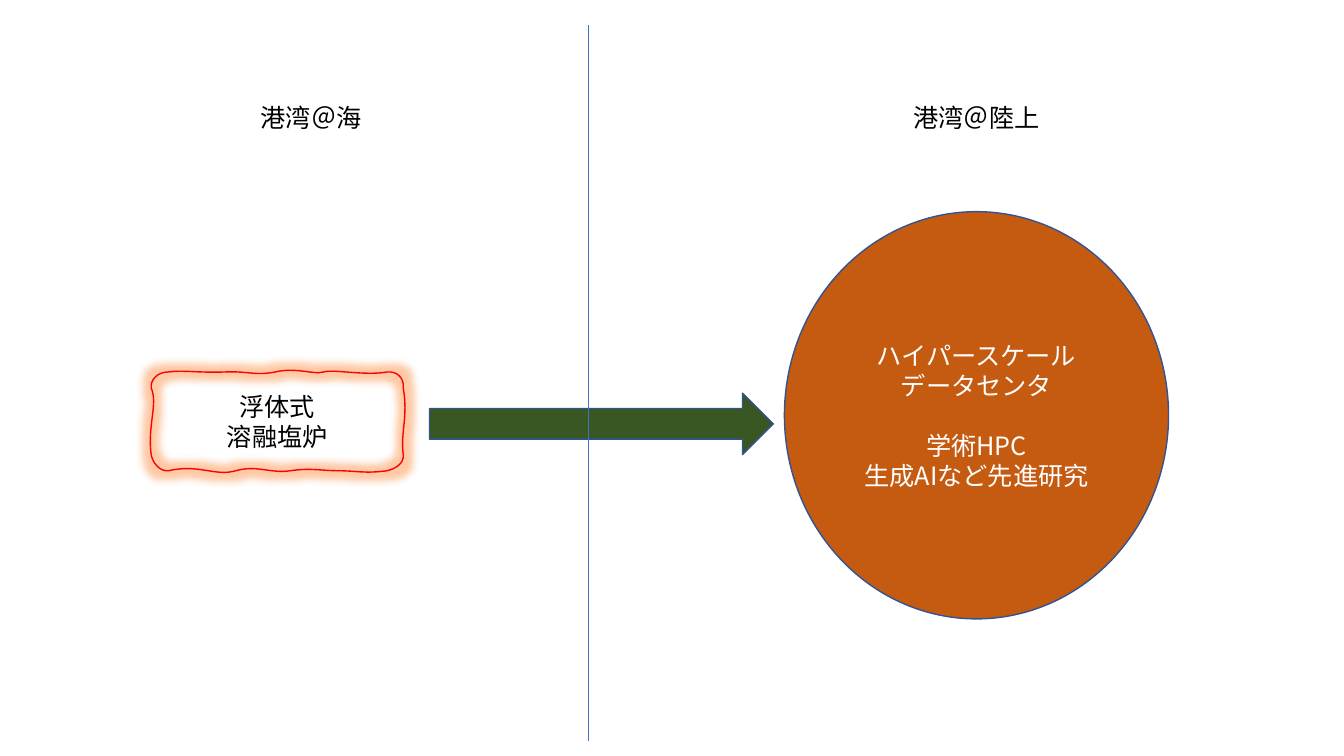
import pptx
import pptx.dml.color
import pptx.enum.shapes
import pptx.enum.text
import pptx.oxml.ns
import pptx.util
import lxml.etree
from pptx.dml.color import RGBColor
from pptx.enum.shapes import MSO_CONNECTOR, MSO_SHAPE
from pptx.util import Inches

BLACK = RGBColor(0x00, 0x00, 0x00)
WHITE = RGBColor(0xFF, 0xFF, 0xFF)
ORANGE = RGBColor(0xC5, 0x5A, 0x11)
GREEN = RGBColor(0x38, 0x57, 0x23)
RED = RGBColor(0xFF, 0x00, 0x00)
OUTLINE = RGBColor(0x32, 0x54, 0x91)
DIVIDER = RGBColor(0x44, 0x72, 0xC4)
GLOW = RGBColor(0xFF, 0x79, 0x1F)

JAPANESE_FONT = "Noto Sans CJK JP"
REACTOR_START = (1.5, 3.85)
REACTOR_CURVES = [
    (1.49, 3.77, 1.56, 3.69, 1.67, 3.69),
    (1.82, 3.67, 1.98, 3.7, 2.23, 3.69),
    (2.48, 3.68, 2.52, 3.73, 2.73, 3.69),
    (2.94, 3.64, 3.11, 3.72, 3.21, 3.69),
    (3.31, 3.66, 3.62, 3.73, 3.84, 3.69),
    (3.94, 3.68, 4.01, 3.75, 4, 3.85),
    (4.05, 4.14, 3.97, 4.3, 4, 4.51),
    (4.01, 4.6, 3.92, 4.65, 3.84, 4.67),
    (3.62, 4.7, 3.53, 4.67, 3.36, 4.67),
    (3.19, 4.67, 3.08, 4.64, 2.88, 4.67),
    (2.68, 4.7, 2.55, 4.61, 2.34, 4.67),
    (2.13, 4.73, 1.98, 4.6, 1.67, 4.67),
    (1.58, 4.68, 1.51, 4.58, 1.5, 4.51),
    (1.46, 4.23, 1.57, 4, 1.5, 3.85),
]


def add_xml(parent, tag, **attributes):
    return lxml.etree.SubElement(
        parent, pptx.oxml.ns.qn(tag),
        {name: str(value) for name, value in attributes.items()})


def write_text(frame, lines, color=BLACK, font=JAPANESE_FONT, size=18,
               anchor=pptx.enum.text.MSO_ANCHOR.MIDDLE, gap_before=None):
    frame.word_wrap = True
    frame.vertical_anchor = anchor
    for index, line in enumerate(lines):
        paragraph = frame.add_paragraph() if index else frame.paragraphs[0]
        paragraph.alignment = pptx.enum.text.PP_ALIGN.CENTER
        if index == gap_before:
            paragraph.space_before = pptx.util.Pt(21)
        run = paragraph.add_run()
        run.text = line
        run.font.size = pptx.util.Pt(size)
        run.font.color.rgb = color
        run.font.name = font
        add_xml(run._r.get_or_add_rPr(), "a:ea", typeface=JAPANESE_FONT)


def add_heading(slide, text, left):
    heading = slide.shapes.add_textbox(
        Inches(left), Inches(0.97), Inches(3.33), Inches(0.4))
    write_text(heading.text_frame, [text], font="Calibri",
               anchor=pptx.enum.text.MSO_ANCHOR.TOP)
    heading.text_frame.auto_size = (
        pptx.enum.text.MSO_AUTO_SIZE.SHAPE_TO_FIT_TEXT)


def add_filled_shape(slide, kind, left, top, width, height, fill):
    shape = slide.shapes.add_shape(
        kind, Inches(left), Inches(top), Inches(width), Inches(height))
    shape.shadow.inherit = False
    shape.fill.solid()
    shape.fill.fore_color.rgb = fill
    shape.line.color.rgb = OUTLINE
    shape.line.width = pptx.util.Pt(1)
    return shape


def bend_segments(shape, curves):
    segments = list(shape._element.iter(pptx.oxml.ns.qn("a:lnTo")))
    for segment, curve in zip(segments, curves):
        bend = lxml.etree.Element(pptx.oxml.ns.qn("a:cubicBezTo"))
        for x, y in zip(curve[::2], curve[1::2]):
            add_xml(bend, "a:pt", x=Inches(x) - shape.left,
                    y=Inches(y) - shape.top)
        segment.getparent().replace(segment, bend)


def add_glow(shape, color, radius):
    effects = shape._element.spPr.find(pptx.oxml.ns.qn("a:effectLst"))
    glow = add_xml(effects, "a:glow", rad=pptx.util.Pt(radius))
    glow_color = add_xml(glow, "a:srgbClr", val=color)
    add_xml(glow_color, "a:alpha", val=40000)


def add_reactor(slide):
    outline = slide.shapes.build_freeform(*map(Inches, REACTOR_START))
    outline.add_line_segments(
        [(Inches(curve[4]), Inches(curve[5])) for curve in REACTOR_CURVES],
        close=True)
    reactor = outline.convert_to_shape()
    bend_segments(reactor, REACTOR_CURVES)
    reactor.fill.background()
    reactor.line.color.rgb = RED
    reactor.line.width = pptx.util.Pt(1)
    reactor.shadow.inherit = False
    add_glow(reactor, GLOW, 11)
    write_text(reactor.text_frame, ["浮体式", "溶融塩炉"])


def add_divider(slide):
    divider = slide.shapes.add_connector(
        MSO_CONNECTOR.STRAIGHT,
        Inches(5.84), Inches(0.25), Inches(5.84), Inches(7.35))
    divider.line.color.rgb = DIVIDER
    divider.line.width = pptx.util.Pt(0.5)
    add_xml(divider._element.spPr, "a:effectLst")


def main():
    presentation = pptx.Presentation()
    presentation.slide_width = Inches(13.33)
    presentation.slide_height = Inches(7.5)
    slide = presentation.slides.add_slide(presentation.slide_layouts[6])

    data_center = add_filled_shape(
        slide, MSO_SHAPE.OVAL, 7.78, 2.1, 3.81, 4.04, ORANGE)
    write_text(data_center.text_frame,
               ["ハイパースケール", "データセンタ", "学術HPC", "生成AIなど先進研究"],
               color=WHITE, gap_before=2)
    add_reactor(slide)
    add_filled_shape(
        slide, MSO_SHAPE.RIGHT_ARROW, 4.26, 3.9, 3.41, 0.61, GREEN)
    add_divider(slide)
    add_heading(slide, "港湾＠海", 1.42)
    add_heading(slide, "港湾＠陸上", 8.02)

    presentation.save("out.pptx")


if __name__ == "__main__":
    main()
